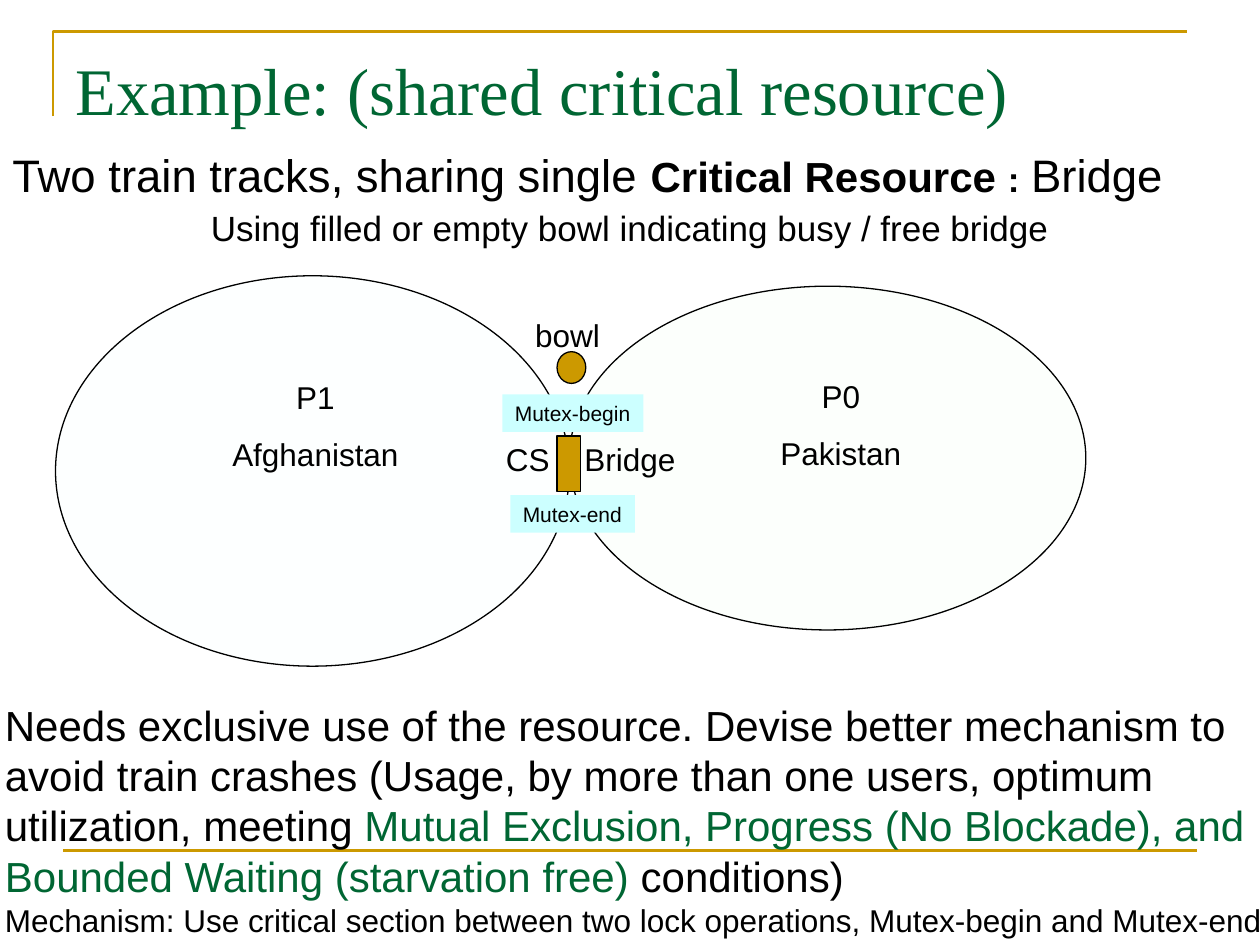
import pptx
import pptx.dml.color
import pptx.enum.shapes
import pptx.enum.text
import pptx.oxml
import pptx.oxml.ns
import pptx.util

Cm = pptx.util.Cm
Pt = pptx.util.Pt
RGBColor = pptx.dml.color.RGBColor
Shape = pptx.enum.shapes.MSO_SHAPE
Align = pptx.enum.text.PP_ALIGN
Anchor = pptx.enum.text.MSO_ANCHOR

BLACK = RGBColor(0x00, 0x00, 0x00)
GREEN = RGBColor(0x00, 0x66, 0x33)
GOLD = RGBColor(0xCC, 0x99, 0x00)
PALE_GREEN = RGBColor(0xCC, 0xFF, 0xCC)
PALE_CYAN = RGBColor(0xCC, 0xFF, 0xFF)


def write_text(frame, paragraphs, size=18, font="Arial", color=BLACK, align=Align.LEFT,
               anchor=Anchor.TOP, gap=0, spacing=None, wrap=True):
    """Fill a frame; each paragraph is a string or a list of (text, run format) pairs."""
    frame.word_wrap = wrap
    frame.vertical_anchor = anchor
    for index, content in enumerate(paragraphs):
        para = frame.paragraphs[0] if index == 0 else frame.add_paragraph()
        para.alignment = align if isinstance(align, int) else align[index]
        para.space_before = Pt(gap if index else 0)
        if spacing:
            para.line_spacing = spacing
        runs = [(content, {})] if isinstance(content, str) else content
        for text, style in runs:
            span = para.add_run()
            span.text = text
            span.font.name = font
            span.font.size = Pt(style.get("size", size))
            span.font.bold = style.get("bold", False)
            span.font.color.rgb = style.get("color", color)


def add_text(page, left, top, width, height, paragraphs, **style):
    box = page.shapes.add_textbox(Cm(left), Cm(top), Cm(width), Cm(height))
    write_text(box.text_frame, paragraphs, **style)


def add_filled(page, kind, left, top, width, height, fill, opacity=100, outlined=True):
    shape = page.shapes.add_shape(kind, Cm(left), Cm(top), Cm(width), Cm(height))
    shape.shadow.inherit = False
    shape.fill.solid()
    shape.fill.fore_color.rgb = fill
    if opacity < 100:
        color = shape.fill._xPr.find(".//" + pptx.oxml.ns.qn("a:srgbClr"))
        alpha = pptx.oxml.parse_xml(
            f'<a:alpha {pptx.oxml.ns.nsdecls("a")} val="{opacity * 1000}"/>')
        color.append(alpha)
    if outlined:
        shape.line.color.rgb = BLACK
        shape.line.width = Pt(0.75)
    else:
        shape.line.fill.background()
    return shape


def add_frame_lines(page):
    builder = page.shapes.build_freeform(Cm(1.07), Cm(2.34))
    builder.add_line_segments([(Cm(1.07), Cm(0.64)), (Cm(23.93), Cm(0.64))], close=False)
    corner = builder.convert_to_shape()
    corner.shadow.inherit = False
    corner.fill.background()
    footer = page.shapes.add_connector(pptx.enum.shapes.MSO_CONNECTOR.STRAIGHT,
                                       Cm(1.27), Cm(17.15), Cm(24.13), Cm(17.15))
    footer._element.spPr.append(pptx.oxml.parse_xml(
        f'<a:effectLst {pptx.oxml.ns.nsdecls("a")}/>'))
    for rule in (corner, footer):
        rule.line.color.rgb = GOLD
        rule.line.width = Pt(1.5)


def add_title(page, text):
    title = page.shapes.title
    title.left, title.top, title.width, title.height = Cm(1.27), Cm(0.76), Cm(22.86), Cm(1.96)
    write_text(title.text_frame, [text], size=38, font="Times New Roman", color=GREEN,
               anchor=Anchor.BOTTOM)


def add_mutex(page, left, top, width, text):
    shape = add_filled(page, Shape.RECTANGLE, left, top, width, 0.76, PALE_CYAN, outlined=False)
    write_text(shape.text_frame, [text], size=12, wrap=False)


def add_diagram(page):
    add_filled(page, Shape.OVAL, 11.48, 5.77, 10.41, 6.93, PALE_GREEN, opacity=5)
    add_filled(page, Shape.OVAL, 1.12, 5.56, 10.36, 7.87, PALE_CYAN, opacity=4)
    add_filled(page, Shape.RECTANGLE, 11.23, 8.79, 0.48, 1.12, GOLD)
    add_filled(page, Shape.OVAL, 11.23, 7.09, 0.58, 0.64, GOLD)
    add_text(page, 10.54, 6.25, 2.16, 1.02, ["bowl"])
    add_text(page, 9.95, 8.74, 1.5, 1.02, ["CS"])
    add_text(page, 11.53, 8.74, 2.5, 1.02, ["Bridge"])
    add_text(page, 15.16, 7.47, 3.58, 2.18, ["P0", "Pakistan"], align=Align.CENTER, gap=11.2)
    add_text(page, 4.39, 7.49, 3.94, 2.18, ["P1", "Afghanistan"], align=Align.CENTER, gap=11.2)
    add_mutex(page, 10.13, 7.95, 2.84, "Mutex-begin")
    add_mutex(page, 10.29, 9.98, 2.51, "Mutex-end")


def main():
    deck = pptx.Presentation()
    deck.slide_width, deck.slide_height = Cm(25.4), Cm(19.05)
    page = deck.slides.add_slide(deck.slide_layouts[5])
    add_frame_lines(page)
    add_title(page, "Example: (shared critical resource)")
    add_text(page, 0, 2.97, 25.4, 2.34, [
        [("Two train tracks, sharing single ", {"size": 26}),
         ("Critical Resource ", {"size": 24, "bold": True}),
         (":", {"bold": True}),
         (" ", {"size": 24}),
         ("Bridge", {"size": 26})],
        "Using filled or empty bowl indicating busy / free bridge",
    ], size=20, align=(Align.LEFT, Align.CENTER), gap=5, spacing=0.9)
    add_diagram(page)
    add_text(page, -0.15, 13.97, 25.93, 5.08, [
        [("Needs exclusive use of the resource. Devise better mechanism to avoid train crashes "
          "(Usage, by more than one users, optimum utilization, meeting ", {}),
         ("Mutual Exclusion, Progress (No Blockade), and Bounded Waiting (starvation free)",
          {"color": GREEN}),
         (" conditions)", {})],
        [("Mechanism: Use critical section between two lock operations, "
          "Mutex-begin and Mutex-end", {"size": 18})],
    ], size=24)
    deck.save("out.pptx")


if __name__ == "__main__":
    main()
